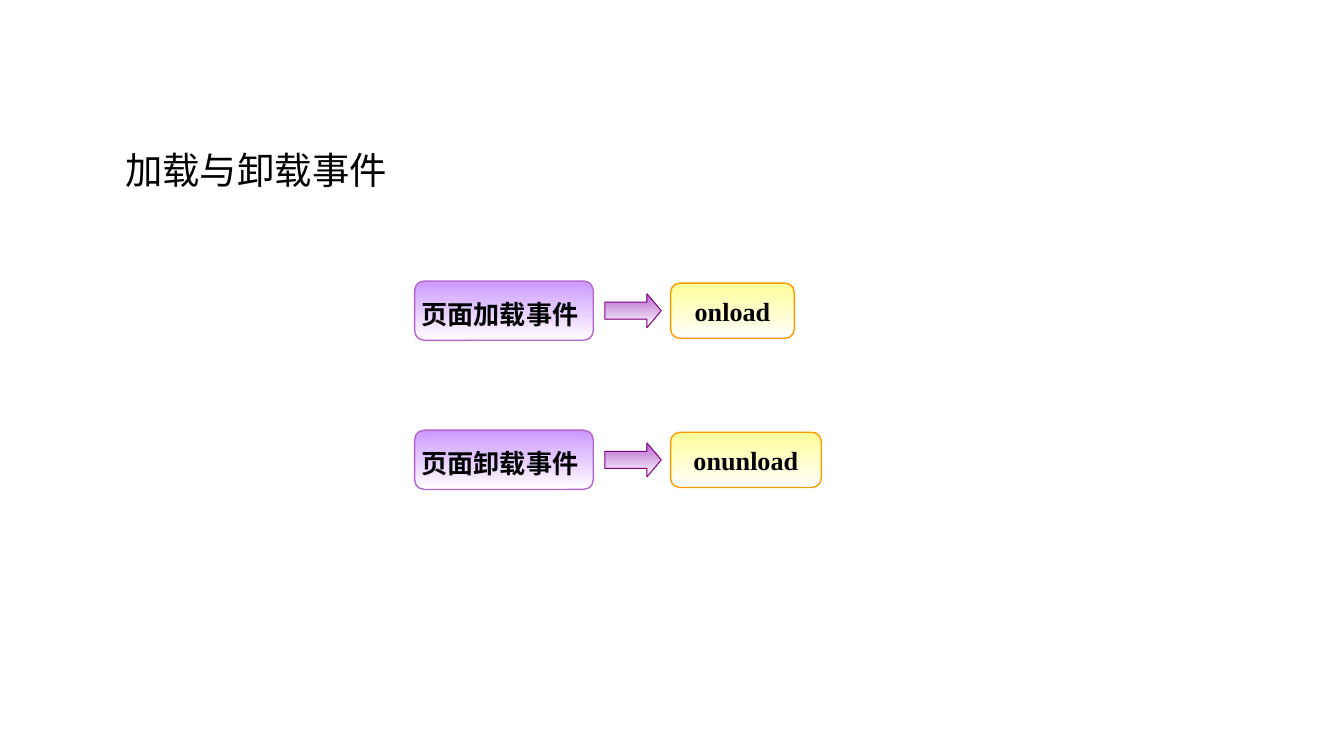
from dataclasses import dataclass

from pptx import Presentation
from pptx.dml.color import RGBColor
from pptx.enum.shapes import MSO_SHAPE
from pptx.enum.text import MSO_ANCHOR, MSO_AUTO_SIZE, PP_ALIGN
from pptx.util import Inches, Pt


@dataclass(frozen=True)
class Theme:
    text: str = "000000"
    fade: str = "FFFFFF"
    event: tuple = ("CC99FF", "B563CF", 0.75)  # fill, line, line width
    handler: tuple = ("FFFF99", "FF9900", 0.75)
    arrow: tuple = ("B563CF", "800080", 0.5)
    serif: str = "Times New Roman"
    sans: str = "Arial"
    title_size: int = 20
    label_size: int = 14
    spacer_size: int = 18


theme = Theme()
deck = Presentation()
deck.slide_width = Inches(10)
deck.slide_height = deck.slide_width * 9 // 16
page = deck.slides.add_slide(deck.slide_layouts[6])
column, row = deck.slide_width / 100, deck.slide_height / 100


def add_span(para, text, size, font=theme.serif, bold=False):
    span = para.add_run()
    span.text = text
    span.font.size, span.font.name, span.font.bold = Pt(size), font, bold
    span.font.color.rgb = RGBColor.from_string(theme.text)


def add_faded_shape(preset, left, middle, width, height, style):
    """Place a shape centred on a row line, fading to white at its foot."""
    shape = page.shapes.add_shape(
        preset, round(left * column), round((middle - height / 2) * row),
        round(width * column), round(height * row))
    top_colour, line_colour, line_width = style
    shape.shadow.inherit = False
    shape.fill.gradient()
    shape.fill.gradient_angle = 270
    for stop, colour in zip(shape.fill.gradient_stops, (top_colour, theme.fade)):
        stop.color.rgb = RGBColor.from_string(colour)
    shape.line.color.rgb = RGBColor.from_string(line_colour)
    shape.line.width = Pt(line_width)
    frame = shape.text_frame
    frame.word_wrap = False
    frame.vertical_anchor = MSO_ANCHOR.MIDDLE
    frame.paragraphs[0].alignment = PP_ALIGN.CENTER
    return shape


title = page.shapes.add_textbox(
    round(8.33 * column), round(18.55 * row), round(35.8 * column), round(7.8 * row))
title.text_frame.word_wrap = True
title.text_frame.auto_size = MSO_AUTO_SIZE.SHAPE_TO_FIT_TEXT
add_span(title.text_frame.paragraphs[0], "加载与卸载事件", theme.title_size)

first_middle, row_step = 41.1, 19.73
events = [("页面加载事件", "onload", 9.2), ("页面卸载事件", "onunload", 11.2)]
for index, (event, handler, handler_width) in enumerate(events):
    middle = first_middle + index * row_step

    event_box = add_faded_shape(
        MSO_SHAPE.ROUNDED_RECTANGLE, 30.85, middle, 13.3, 7.85, theme.event)
    para = event_box.text_frame.paragraphs[0]
    add_span(para, event, theme.label_size, bold=True)
    add_span(para, " ", theme.spacer_size, theme.sans, bold=True)

    handler_box = add_faded_shape(
        MSO_SHAPE.ROUNDED_RECTANGLE, 49.9, middle, handler_width, 7.3, theme.handler)
    add_span(handler_box.text_frame.paragraphs[0], handler, theme.label_size, bold=True)

    arrow = add_faded_shape(MSO_SHAPE.RIGHT_ARROW, 45, middle, 4.2, 4.5, theme.arrow)
    arrow.adjustments[1] = 0.42

deck.save("out.pptx")
